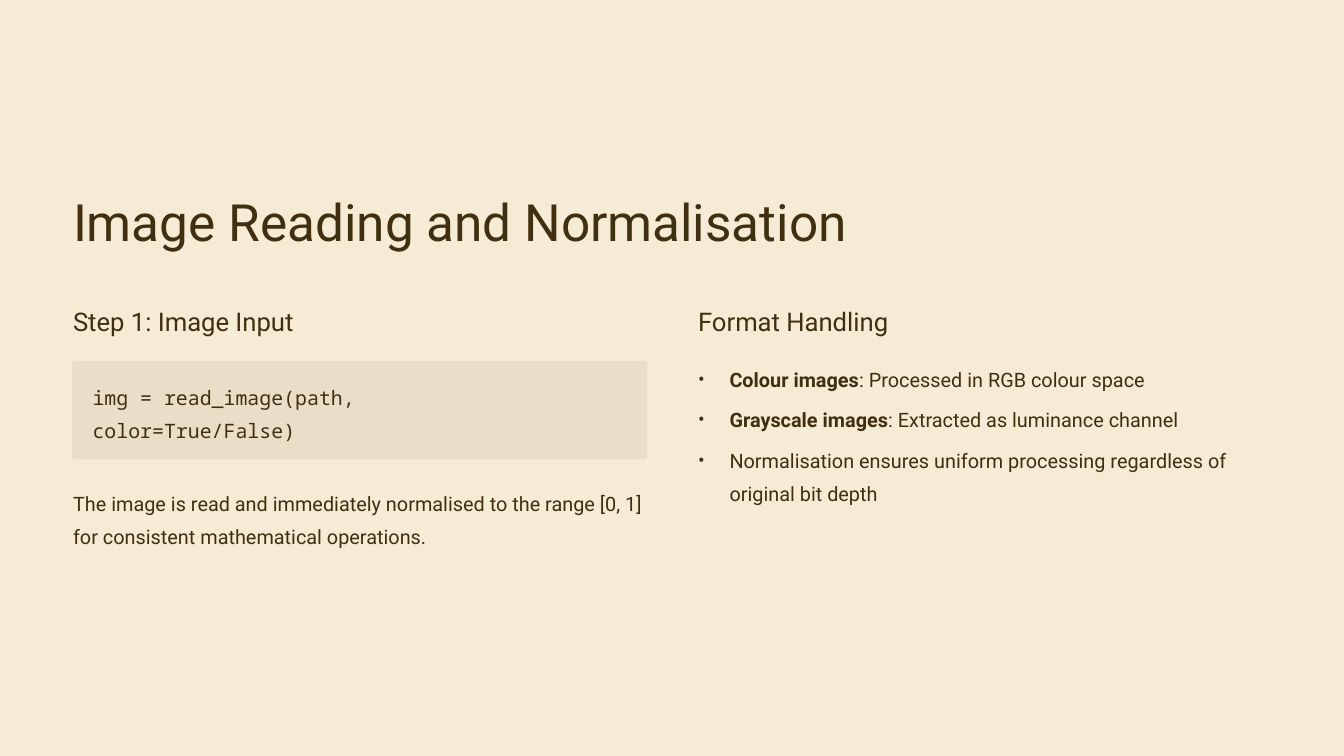
from lxml.etree import SubElement
from pptx import Presentation
from pptx.dml.color import RGBColor
from pptx.enum.shapes import MSO_SHAPE
from pptx.oxml.ns import qn
from pptx.util import Cm, Pt

# Content: a paragraph is a list of (text, bold) runs
TITLE = [[("Image Reading and Normalisation", False)]]
INPUT_HEADING = [[("Step 1: Image Input", False)]]
CODE_LINES = [[("img = read_image(path,\vcolor=True/False)", False)]]
INPUT_NOTE = [[("The image is read and immediately normalised to the range [0, 1] "
                "for consistent mathematical operations.", False)]]
FORMAT_HEADING = [[("Format Handling", False)]]
FORMAT_POINTS = [
    [("Colour images", True), (": Processed in RGB colour space", False)],
    [("Grayscale images", True), (": Extracted as luminance channel", False)],
    [("Normalisation ensures uniform processing regardless of original bit depth", False)],
]

# Style: font, size, line spacing in points
TITLE_STYLE = ("Roboto", 44, 55)
HEADING_STYLE = ("Roboto", 22, 27)
BODY_STYLE = ("Roboto", 17, 28)
CODE_STYLE = ("Noto Sans Mono", 17, 28)
INK, PAPER, PANEL = "403011", "F6EBD4", "E9DEC7"

# Layout in cm
SLIDE_WIDTH, SLIDE_HEIGHT = 40.64, 22.86
LEFT, RIGHT, COLUMN = 2.21, 21.11, 17.35
HEADING_TOP, HEADING_HEIGHT = 9.22, 0.94
PANEL_BOX = (2.18, 10.92, 17.4, 2.97)
CODE_INSET = 0.62
BULLET_INDENT = 0.95


def paint(fill, color):
    fill.solid()
    fill.fore_color.rgb = RGBColor.from_string(color)


def add_block(slide, kind, box, color):
    block = slide.shapes.add_shape(kind, *map(Cm, box))
    block.shadow.inherit = False
    block.line.fill.background()
    paint(block.fill, color)
    return block


def add_bullet(paragraph, font_name):
    props = paragraph._p.get_or_add_pPr()
    props.set("marL", str(Cm(BULLET_INDENT)))
    props.set("indent", str(-Cm(BULLET_INDENT)))
    SubElement(props, qn("a:buFont")).set("typeface", font_name)
    SubElement(props, qn("a:buChar")).set("char", "•")


def add_text(slide, box, paragraphs, style, wrap=True, bullets=False):
    font_name, size, line_spacing = style
    frame = slide.shapes.add_textbox(*map(Cm, box)).text_frame
    frame.word_wrap = wrap
    frame.margin_left = frame.margin_right = frame.margin_top = frame.margin_bottom = 0
    for index, runs in enumerate(paragraphs):
        paragraph = frame.add_paragraph() if index else frame.paragraphs[0]
        paragraph.line_spacing = Pt(line_spacing)
        if bullets:
            paragraph.space_before = Pt(6.7 if index else 0)
            add_bullet(paragraph, font_name)
        for text, bold in runs:
            for part, line in enumerate(text.split("\v")):
                if part:
                    paragraph.add_line_break()
                run = paragraph.add_run()
                run.text = line
                run.font.name = font_name
                run.font.size = Pt(size)
                run.font.bold = bold
                paint(run.font.fill, INK)


prs = Presentation()
prs.slide_width, prs.slide_height = Cm(SLIDE_WIDTH), Cm(SLIDE_HEIGHT)
slide = prs.slides.add_slide(prs.slide_layouts[6])

# Paper backdrop
add_block(slide, MSO_SHAPE.RECTANGLE, (0, 0, SLIDE_WIDTH, SLIDE_HEIGHT), PAPER)

# Title and column headings
add_text(slide, (LEFT, 5.67, 23.5, 1.9), TITLE, TITLE_STYLE, wrap=False)
for heading, left, width in ((INPUT_HEADING, LEFT, 6.81), (FORMAT_HEADING, RIGHT, 5.77)):
    add_text(slide, (left, HEADING_TOP, width, HEADING_HEIGHT), heading, HEADING_STYLE, wrap=False)

# Code panel
panel = add_block(slide, MSO_SHAPE.ROUNDED_RECTANGLE, PANEL_BOX, PANEL)
panel.adjustments[0] = 0.03
panel_left, panel_top, panel_width, _ = PANEL_BOX
add_text(slide, (panel_left + CODE_INSET, panel_top + 0.48, panel_width - 2 * CODE_INSET, 1.93),
         CODE_LINES, CODE_STYLE)

# Column bodies
add_text(slide, (LEFT, 14.6, COLUMN, 1.9), INPUT_NOTE, BODY_STYLE)
add_text(slide, (RIGHT, 10.85, COLUMN, 4.37), FORMAT_POINTS, BODY_STYLE, bullets=True)

prs.save("out.pptx")
